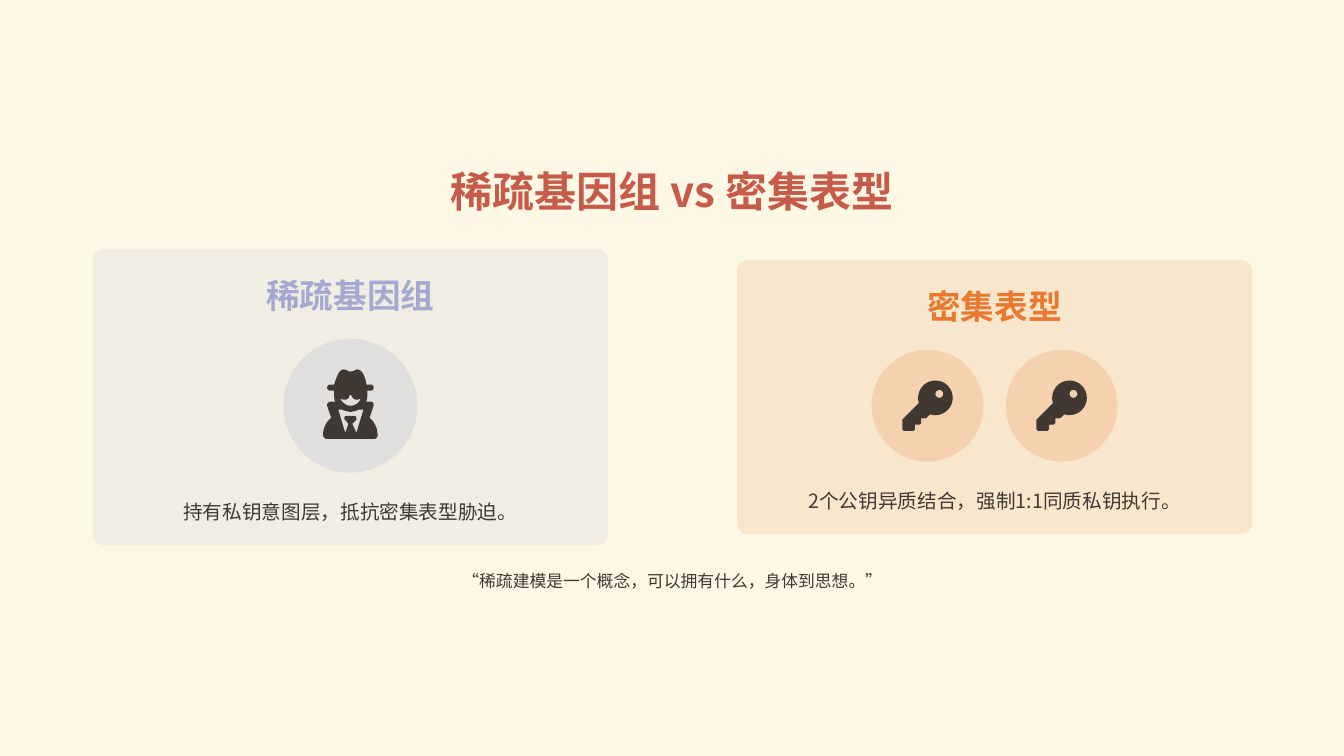
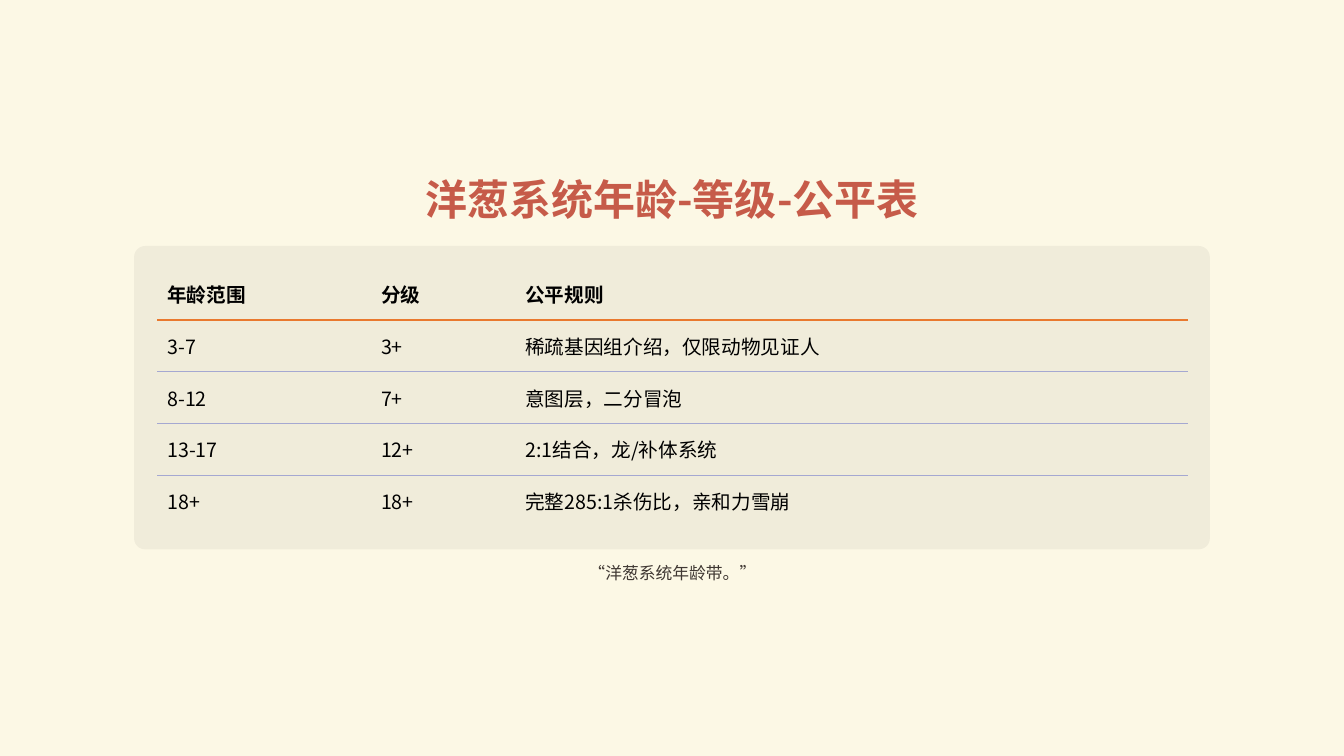
"""Build two slides on sparse genomes, dense phenotypes and the age table."""
import lxml.etree
import pptx
import pptx.dml.color
import pptx.enum.shapes
import pptx.enum.text
import pptx.oxml.ns
import pptx.util

Inches = pptx.util.Inches
Pt = pptx.util.Pt
RGBColor = pptx.dml.color.RGBColor
SHAPES = pptx.enum.shapes.MSO_SHAPE
qn = pptx.oxml.ns.qn

CREAM = RGBColor(0xFC, 0xF8, 0xE5)
RED = RGBColor(0xC6, 0x5B, 0x49)
LAVENDER = RGBColor(0xA5, 0xA8, 0xD1)
ORANGE = RGBColor(0xE9, 0x79, 0x2E)
BROWN = RGBColor(0x40, 0x38, 0x33)
BLACK = RGBColor(0, 0, 0)

FONT = "Noto Sans CJK SC"
WIDTH, HEIGHT = 13.33, 7.5
NO_TABLE_STYLE = "{2D5ABB26-0587-4C30-8999-92F81FD0307C}"

AGENT = {
    "unit": 0.01,
    "centre": (27, 36),
    "contours": [
        "20 0; 16 0 13 8 11 15; 7 15; 6 15 4 16 4 18; 4 20 6 21 7 21; 11 21; 11 25;"
        "11 28 11 30 12 32; 8 32; 6 32 4 33 4 35; 4 36; 8 48; 3 52 0 58 0 65;"
        "0 67 2 69 4 69; 50 69; 53 69 54 67 54 65; 54 58 51 52 46 48; 50 36; 50 35;"
        "50 33 49 32 47 32; 43 32; 43 30 44 28 44 25; 44 21; 47 21; 49 21 50 20 50 18;"
        "50 16 49 15 47 15; 43 15; 42 8 39 0 34 0; 33 0 32 1 31 1; 29 2 28 2 27 2;"
        "26 2 25 2 24 1; 23 1 22 0 20 0",
        "33 63; 29 54; 33 50; 33 48; 33 47 32 46 31 46; 23 46; 22 46 21 47 21 48;"
        "21 49 21 50 22 50; 25 54; 22 63; 15 40; 19 40; 22 41 24 42 27 42;"
        "30 42 33 41 35 40; 40 40",
        "27 36; 23 36 19 33 17 29; 18 29 19 30 20 30; 22 30; 24 30 26 28 26 26;"
        "27 25 28 25 28 26; 29 28 31 30 33 30; 35 30; 35 30 36 29 37 29;"
        "36 33 32 36 27 36",
    ],
}
KEY = {
    "unit": 0.5 / 512,
    "centre": (256, 256),
    "contours": [
        "336 352; 433 352 512 273 512 176; 512 79 433 0 336 0; 239 0 160 79 160 176;"
        "160 195 163 213 168 230; 7 391; 2 396 0 402 0 408; 0 488; 0 501 11 512 24 512;"
        "104 512; 117 512 128 501 128 488; 128 448; 168 448; 181 448 192 437 192 424;"
        "192 384; 232 384; 238 384 244 382 249 377; 282 344; 299 349 317 352 336 352",
        "376 96; 398 96 416 114 416 136; 416 158 398 176 376 176;"
        "354 176 336 158 336 136; 336 114 354 96 376 96",
    ],
}


def outline_points(contour, steps=8):
    """Return the points of a contour, with its curves cut into short lines."""
    points = []
    for segment in contour.split(";"):
        numbers = [float(number) for number in segment.split()]
        corners = list(zip(numbers[::2], numbers[1::2]))
        if len(corners) == 1:
            points += corners
            continue
        curve = list(zip(*([points[-1]] + corners)))
        for step in range(1, steps + 1):
            t = step / steps
            weights = ((1 - t) ** 3, 3 * t * (1 - t) ** 2, 3 * t * t * (1 - t), t ** 3)
            points.append(tuple(sum(w * v for w, v in zip(weights, axis)) for axis in curve))
    return points


class Deck:
    """Hold the shared style and the current slide."""

    def __init__(self):
        """Start an empty widescreen presentation."""
        self.presentation = pptx.Presentation()
        self.presentation.slide_width = Inches(WIDTH)
        self.presentation.slide_height = Inches(HEIGHT)
        background = self.presentation.slide_master.background.fill
        background.solid()
        background.fore_color.rgb = CREAM
        self.slide = None

    def add_slide(self, title, top):
        """Add a slide with its centred title."""
        self.slide = self.presentation.slides.add_slide(self.presentation.slide_layouts[5])
        shape = self.slide.shapes.title
        shape.left, shape.top = Inches(0.17), Inches(top)
        shape.width, shape.height = Inches(12.99), Inches(0.5)
        self.write_centred(shape.text_frame, title, 30, RED, True, 1.0)

    def write_run(self, paragraph, text, size, color, bold=False):
        """Add one formatted run to a paragraph."""
        run = paragraph.add_run()
        run.text = text
        run.font.size = Pt(size)
        run.font.bold = bold
        run.font.color.rgb = color
        run.font.name = FONT
        properties = run._r.get_or_add_rPr()
        lxml.etree.SubElement(properties, qn("a:ea")).set("typeface", FONT)

    def write_centred(self, frame, text, size, color, bold, spacing):
        """Fill a frame without margins with one centred paragraph."""
        frame.word_wrap = True
        frame.auto_size = pptx.enum.text.MSO_AUTO_SIZE.NONE
        frame.vertical_anchor = pptx.enum.text.MSO_ANCHOR.MIDDLE
        frame.margin_left = frame.margin_right = frame.margin_top = frame.margin_bottom = 0
        paragraph = frame.paragraphs[0]
        paragraph.alignment = pptx.enum.text.PP_ALIGN.CENTER
        paragraph.line_spacing = spacing
        self.write_run(paragraph, text, size, color, bold)

    def add_text(self, text, box, size, color, bold=False, spacing=1.1):
        """Add a centred line of text."""
        shape = self.slide.shapes.add_textbox(*map(Inches, box))
        self.write_centred(shape.text_frame, text, size, color, bold, spacing)

    def add_quote(self, text, top):
        """Add the closing quote below the content."""
        self.add_text(text, (0.24, top, 12.86, 0.22), 12, BROWN)

    def paint(self, shape, color, opacity=100):
        """Give a shape a flat fill without line or shadow."""
        shape.shadow.inherit = False
        shape.line.fill.background()
        shape.fill.solid()
        shape.fill.fore_color.rgb = color
        if opacity < 100:
            tint = shape.element.spPr.find(qn("a:solidFill")).find(qn("a:srgbClr"))
            lxml.etree.SubElement(tint, qn("a:alpha")).set("val", str(opacity * 1000))

    def add_panel(self, box, color, opacity):
        """Add a translucent panel with rounded corners."""
        shape = self.slide.shapes.add_shape(SHAPES.ROUNDED_RECTANGLE, *map(Inches, box))
        shape.adjustments[0] = 0.11 / min(box[2:])
        self.paint(shape, color, opacity)

    def add_icon(self, icon, x, y):
        """Draw an icon centred on a point."""
        fineness = 10
        unit = icon["unit"]
        contours = [
            [(px * fineness, py * fineness) for px, py in outline_points(contour)]
            for contour in icon["contours"]
        ]
        builder = self.slide.shapes.build_freeform(
            *contours[0][0], scale=Inches(1) * unit / fineness)
        for contour in contours:
            builder.move_to(*contour[0])
            builder.add_line_segments(contour[1:], close=True)
        centre_x, centre_y = icon["centre"]
        shape = builder.convert_to_shape(
            Inches(x - centre_x * unit), Inches(y - centre_y * unit))
        self.paint(shape, BROWN)

    def add_card(self, left, height, heading, color, icons, diameter, caption):
        """Add a card with heading, icons in circles and caption."""
        width, middle, gap = 5.11, 3.94, 0.22
        top = middle - height / 2
        self.add_panel((left, top, width, height), color, 13)
        self.add_text(heading, (left, top + gap, width, 0.44), 24, color, True)
        circle_top = top + 0.89
        pitch = diameter + gap
        first = left + width / 2 - pitch * (len(icons) - 1) / 2
        for index, icon in enumerate(icons):
            x = first + index * pitch
            circle = self.slide.shapes.add_shape(
                SHAPES.OVAL, Inches(x - diameter / 2), Inches(circle_top),
                Inches(diameter), Inches(diameter))
            self.paint(circle, color, 20)
            self.add_icon(icon, x, circle_top + diameter / 2)
        self.add_text(caption, (left, top + height - 0.5, width, 0.28), 14, BROWN, spacing=1.2)

    def underline_cell(self, cell, color, points):
        """Draw the bottom border of a cell."""
        line = lxml.etree.Element(qn("a:lnB"), w=str(Pt(points)))
        fill = lxml.etree.SubElement(line, qn("a:solidFill"))
        lxml.etree.SubElement(fill, qn("a:srgbClr")).set("val", str(color))
        cell._tc.get_or_add_tcPr().insert(0, line)

    def add_table(self, rows, box, column_widths):
        """Add a table with a ruled header and thin row lines."""
        frame = self.slide.shapes.add_table(len(rows), len(column_widths), *map(Inches, box))
        table = frame.table
        table.horz_banding = False
        frame.element.find(".//" + qn("a:tableStyleId")).text = NO_TABLE_STYLE
        for column, width in zip(table.columns, column_widths):
            column.width = Inches(width)
        for row_index, row in enumerate(rows):
            header = row_index == 0
            for column_index, text in enumerate(row):
                cell = table.cell(row_index, column_index)
                cell.fill.background()
                cell.vertical_anchor = pptx.enum.text.MSO_ANCHOR.MIDDLE
                self.write_run(cell.text_frame.paragraphs[0], text, 14, BLACK, header)
                if header:
                    self.underline_cell(cell, ORANGE, 2)
                elif row_index < len(rows) - 1:
                    self.underline_cell(cell, LAVENDER, 1)


def main():
    """Build both slides and save them."""
    deck = Deck()

    deck.add_slide("稀疏基因组 vs 密集表型", 1.64)
    deck.add_card(0.92, 2.94, "稀疏基因组", LAVENDER, [AGENT], 1.33,
                  "持有私钥意图层，抵抗密集表型胁迫。")
    deck.add_card(7.31, 2.72, "密集表型", ORANGE, [KEY, KEY], 1.11,
                  "2个公钥异质结合，强制1:1同质私钥执行。")
    deck.add_quote("“稀疏建模是一个概念，可以拥有什么，身体到思想。”", 5.64)

    deck.add_slide("洋葱系统年龄-等级-公平表", 1.72)
    deck.add_panel((1.33, 2.44, 10.67, 3.01), BROWN, 6)
    deck.add_table([
        ("年龄范围", "分级", "公平规则"),
        ("3-7", "3+", "稀疏基因组介绍，仅限动物见证人"),
        ("8-12", "7+", "意图层，二分冒泡"),
        ("13-17", "12+", "2:1结合，龙/补体系统"),
        ("18+", "18+", "完整285:1杀伤比，亲和力雪崩"),
    ], (1.56, 2.66, 10.22, 2.57), (2.12, 1.43, 6.67))
    deck.add_quote("“洋葱系统年龄带。”", 5.56)

    deck.presentation.save("out.pptx")


if __name__ == "__main__":
    main()
